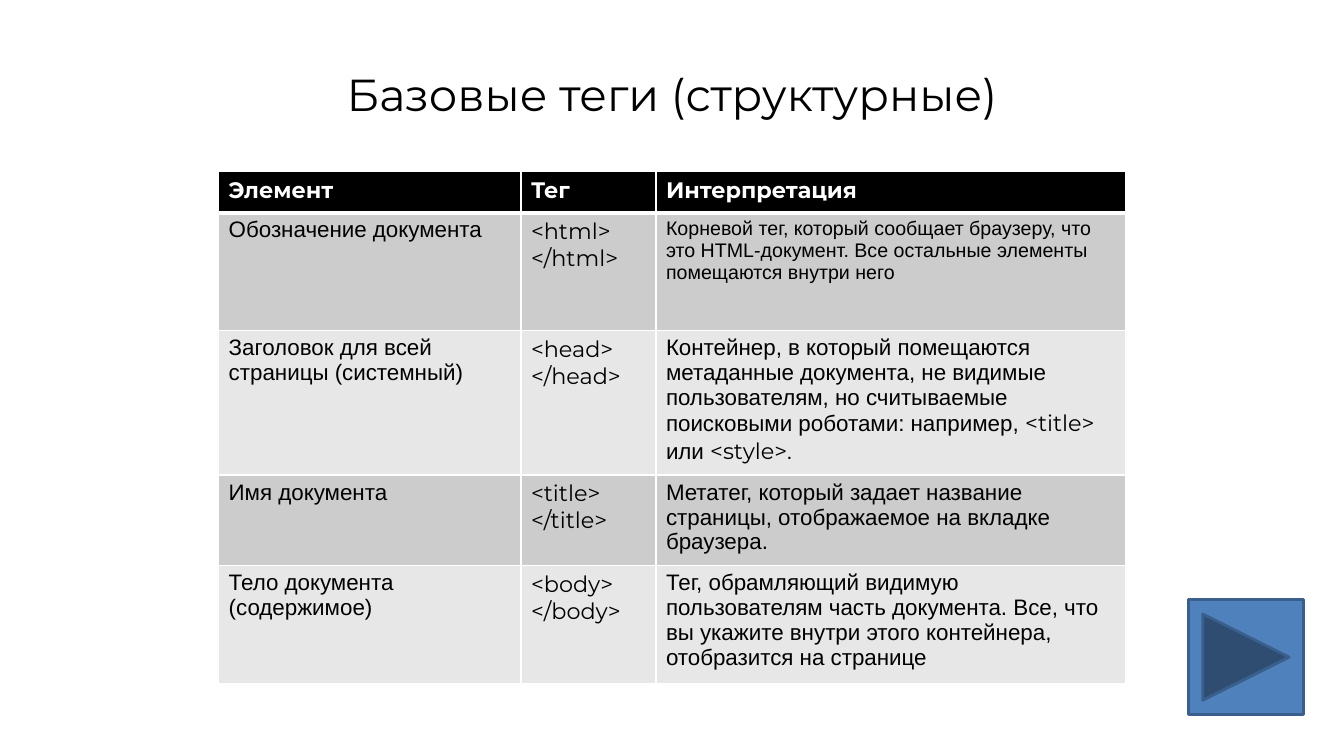
from lxml.etree import SubElement
from pptx import Presentation
from pptx.dml.color import RGBColor
from pptx.enum.shapes import MSO_SHAPE as Shape
from pptx.enum.text import MSO_ANCHOR as Anchor, PP_ALIGN as Align
from pptx.oxml.ns import qn
from pptx.util import Cm, Pt

COLORS = {
    "black": "000000", "white": "FFFFFF",
    "dark_band": "CCCCCC", "light_band": "E7E7E7",
    "button": "4F81BD", "button_line": "3A5F8C",
}
HEADING_FONT, BODY_FONT = "Montserrat", "Arial"

HEADERS = ["Элемент", "Тег", "Интерпретация"]
# Element, tag name, interpretation as (text, font) runs, interpretation size
TAGS = [
    ("Обозначение документа", "html",
     [("Корневой тег, который сообщает браузеру, что это HTML-документ. "
       "Все остальные элементы помещаются внутри него", BODY_FONT)], 14),
    ("Заголовок для всей страницы (системный)", "head",
     [("Контейнер, в который помещаются метаданные документа, не видимые "
       "пользователям, но считываемые поисковыми роботами: например, ", BODY_FONT),
      ("<title> ", HEADING_FONT), ("или ", BODY_FONT), ("<style>.", HEADING_FONT)], 16),
    ("Имя документа", "title",
     [("Метатег, который задает название страницы, отображаемое на вкладке "
       "браузера.", BODY_FONT)], 16),
    ("Тело документа (содержимое)", "body",
     [("Тег, обрамляющий видимую пользователям часть документа. Все, что вы "
       "укажите внутри этого контейнера, отобразится на странице", BODY_FONT)], 16),
]
COLUMN_WIDTHS = [7.62, 3.4, 11.84]
ROW_HEIGHTS = [1.04, 2.97, 3.48, 2.13, 2.74]


class SlideBuilder:
    def __init__(self, slide):
        self.slide = slide

    def color(self, name):
        return RGBColor.from_string(COLORS[name])

    def add_text(self, paragraph, runs, size, color="black", bold=False):
        """Fill a paragraph with (text, font) runs."""
        font = paragraph.font
        font.size, font.bold = Pt(size), bold
        font.color.rgb = self.color(color)
        if len(runs) == 1:
            font.name = runs[0][1]
        for text, font_name in runs:
            run = paragraph.add_run()
            run.text = text
            if len(runs) > 1:
                run.font.name = font_name

    def title(self, text, left, top, width, height):
        box = self.slide.shapes.add_textbox(Cm(left), Cm(top), Cm(width), Cm(height))
        frame = box.text_frame
        frame.word_wrap = True
        frame.vertical_anchor = Anchor.MIDDLE
        paragraph = frame.paragraphs[0]
        paragraph.alignment = Align.CENTER
        self.add_text(paragraph, [(text, HEADING_FONT)], 32)

    def table(self, left, top, widths, heights):
        table = self.slide.shapes.add_table(
            len(heights), len(widths), Cm(left), Cm(top),
            Cm(sum(widths)), Cm(sum(heights))).table
        table.horz_banding = False
        for column, width in zip(table.columns, widths):
            column.width = Cm(width)
        for row, height in zip(table.rows, heights):
            row.height = Cm(height)
        return table

    def cell(self, cell, runs, size, fill, borders, color="black", bold=False):
        """Borders maps each side (L, R, T, B) to a width in points."""
        properties = cell._tc.get_or_add_tcPr()
        for side, width in borders.items():
            line = SubElement(properties, qn(f"a:ln{side}"), w=str(Pt(width)))
            SubElement(SubElement(line, qn("a:solidFill")), qn("a:srgbClr"),
                       val=COLORS["white"])
        cell.fill.solid()
        cell.fill.fore_color.rgb = self.color(fill)
        self.add_text(cell.text_frame.paragraphs[0], runs, size, color, bold)

    def button(self, left, top, side):
        shape = self.slide.shapes.add_shape(
            Shape.ACTION_BUTTON_FORWARD_OR_NEXT, Cm(left), Cm(top), Cm(side), Cm(side))
        shape.shadow.inherit = False
        shape.fill.solid()
        shape.fill.fore_color.rgb = self.color("button")
        shape.line.color.rgb = self.color("button_line")
        shape.line.width = Pt(2)


def main():
    presentation = Presentation()
    presentation.slide_width, presentation.slide_height = Cm(33.87), Cm(19.05)
    builder = SlideBuilder(presentation.slides.add_slide(presentation.slide_layouts[6]))

    # Title
    builder.title("Базовые теги (структурные)", 1.7, 0.76, 30.48, 3.18)

    # Table header
    table = builder.table(5.51, 4.32, COLUMN_WIDTHS, ROW_HEIGHTS)
    thin = dict(L=1, R=1, T=1, B=1)
    for column, header in enumerate(HEADERS):
        builder.cell(table.cell(0, column), [(header, HEADING_FONT)], 16, "black",
                     thin | {"B": 3}, "white", True)

    # Table body
    for row, (element, tag, meaning, meaning_size) in enumerate(TAGS, 1):
        fill = "dark_band" if row % 2 else "light_band"
        borders = thin | {"T": 3} if row == 1 else thin
        contents = [
            ([(element, BODY_FONT)], 16),
            ([(f"<{tag}> </{tag}>", HEADING_FONT)], 16),
            (meaning, meaning_size),
        ]
        for column, (runs, size) in enumerate(contents):
            builder.cell(table.cell(row, column), runs, size, fill, borders)

    # Next button
    builder.button(29.95, 15.11, 2.9)

    presentation.save("out.pptx")


if __name__ == "__main__":
    main()
